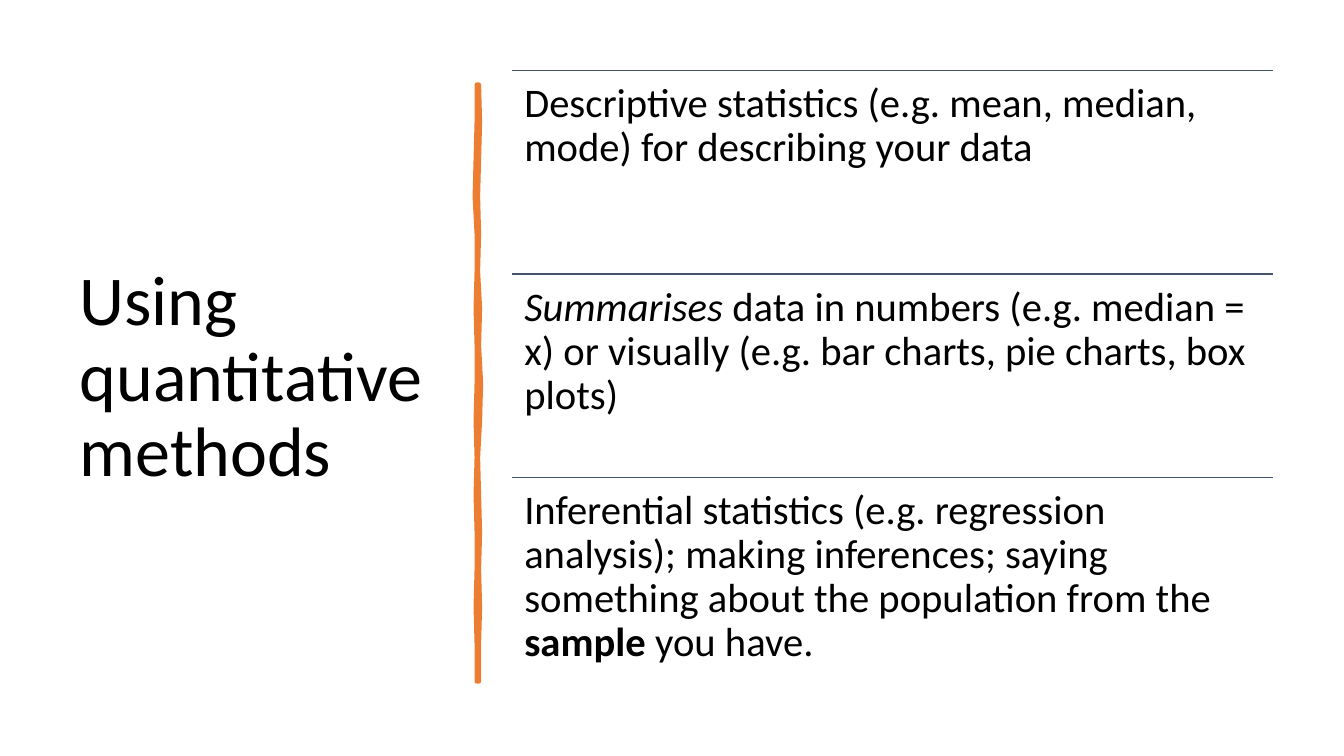
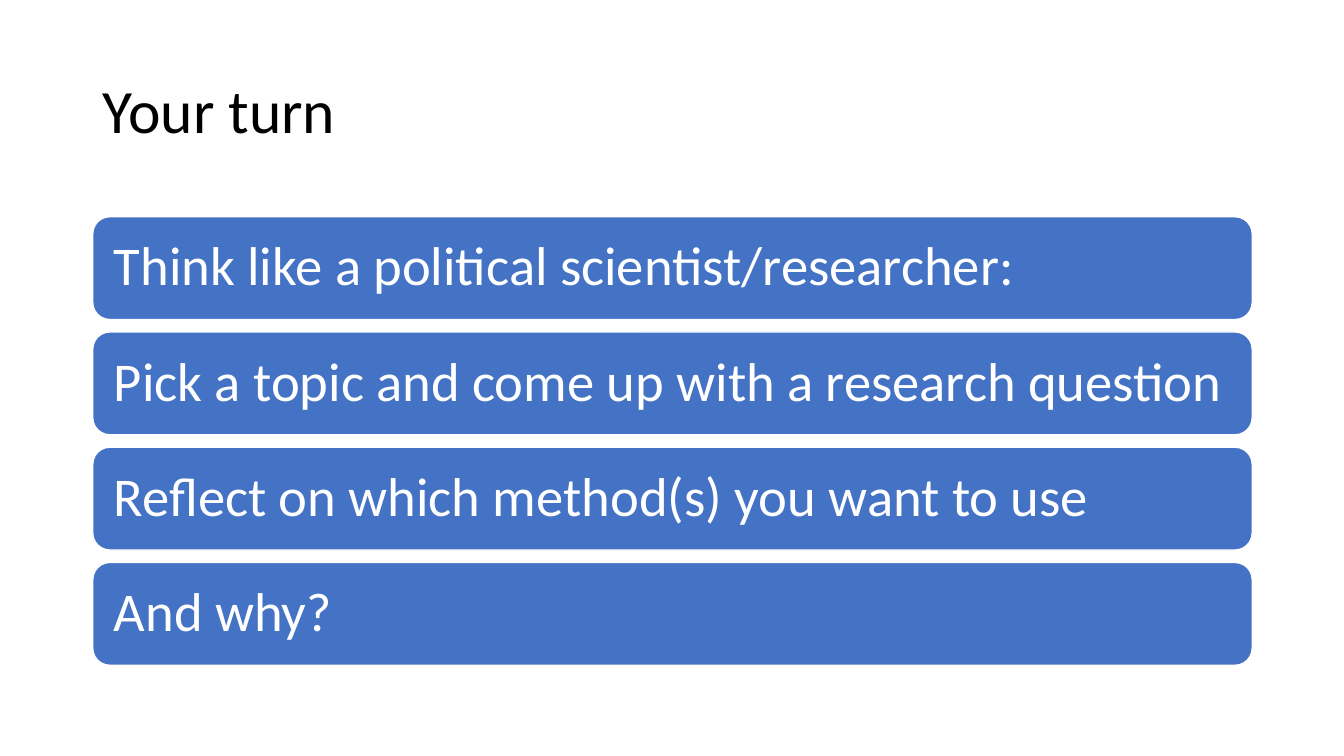
"""Build two slides on quantitative methods and a class task."""
from lxml import etree
from pptx import Presentation
from pptx.dml.color import RGBColor
from pptx.enum import shapes, text
from pptx.oxml import ns
from pptx.util import Pt

PX = 9144
WIDE, HIGH = 1333, 750
FONT = "Calibri"
BLACK, WHITE, BLUE, SLATE, ORANGE = "000000", "FFFFFF", "4472C4", "44546A", "ED7D31"

METHODS = {
    "title": "Using quantitative methods", "size": 50, "box": (69, 70, 374, 611),
    "rows": [
        [("Descriptive statistics (e.g. mean, median, mode) for describing your data", {})],
        [("Summarises", {"italic": True}),
         (" data in numbers (e.g. median = x) or visually "
          "(e.g. bar charts, pie charts, box plots)", {})],
        [("Inferential statistics (e.g. regression analysis); making inferences; "
          "saying something about the population from the ", {}),
         ("sample", {"bold": True}), (" you have.", {})],
    ],
}
TASK = {
    "title": "Your turn", "size": 44, "box": (92, 40, 1150, 145),
    "rows": [
        "Think like a political scientist/researcher:",
        "Pick a topic and come up with a research question",
        "Reflect on which method(s) you want to use",
        "And why?",
    ],
}
RIGHT = [475, 476, 475, 474, 475, 474, 476, 475, 477, 476, 474, 475, 476, 475, 476, 475, 475]
LEFT = [473, 473, 472, 471, 473, 473, 472, 473, 473, 472, 473, 472, 473, 473, 472, 473, 473]
BAR_TOP, BAR_STEP = 84, 37


def rgb(code):
    return RGBColor.from_string(code)


def emu(*nums):
    return [round(n * PX) for n in nums]


def assign(item, **vals):
    for key, val in vals.items():
        setattr(item, key, val)


def write(shape, runs, size, color, inset, anchor):
    frame = shape.text_frame
    assign(frame, word_wrap=True, auto_size=text.MSO_AUTO_SIZE.NONE, vertical_anchor=anchor)
    pad = round(inset * PX)
    assign(frame, **{"margin_" + side: pad for side in ("left", "top", "right", "bottom")})
    para = frame.paragraphs[0]
    assign(para, alignment=text.PP_ALIGN.LEFT, line_spacing=0.9)
    for words, style in runs:
        run = para.add_run()
        run.text = words
        assign(run.font, name=FONT, size=Pt(size), **style)
        run.font.color.rgb = rgb(color)


def paint(shape, fill, line, width):
    shape.shadow.inherit = False
    shape.fill.solid()
    shape.fill.fore_color.rgb = rgb(fill)
    shape.line.color.rgb = rgb(line)
    shape.line.width = Pt(width)


def start(deck, data):
    slide = deck.slides.add_slide(deck.slide_layouts[5])
    title = slide.shapes.title
    assign(title, **dict(zip(("left", "top", "width", "height"), emu(*data["box"]))))
    write(title, [(data["title"], {})], data["size"], BLACK, 10, text.MSO_ANCHOR.MIDDLE)
    return slide


def rule(slide, left, top, width):
    line = slide.shapes.add_connector(
        shapes.MSO_CONNECTOR.STRAIGHT, *emu(left, top, left + width, top))
    line.line.color.rgb = rgb(SLATE)
    line.line.width = Pt(1)
    etree.SubElement(line._element.spPr, ns.qn("a:effectLst"))


def stroke(slide):
    down = [(x, BAR_TOP + i * BAR_STEP) for i, x in enumerate(RIGHT)]
    back = [(x, BAR_TOP + i * BAR_STEP) for i, x in enumerate(LEFT)][::-1]
    pen = slide.shapes.build_freeform(*down[0], scale=PX)
    pen.add_line_segments(down[1:] + back, close=True)
    bar = pen.convert_to_shape()
    paint(bar, ORANGE, ORANGE, 3.25)
    etree.SubElement(bar.line._get_or_add_ln(), ns.qn("a:round"))


def methods(deck):
    slide = start(deck, METHODS)
    stroke(slide)
    left, top, width, step = 508, 70, 755, 202
    for i, runs in enumerate(METHODS["rows"]):
        y = top + i * step
        rule(slide, left, y, width)
        box = slide.shapes.add_textbox(*emu(left, y, width, step))
        write(box, runs, 29, BLACK, 12, text.MSO_ANCHOR.TOP)


def task(deck):
    slide = start(deck, TASK)
    left, top, width, high, end = 92, 215, 1150, 102, 660
    rows = TASK["rows"]
    step = (end - top - high) / (len(rows) - 1)
    for i, words in enumerate(rows):
        card = slide.shapes.add_shape(
            shapes.MSO_SHAPE.ROUNDED_RECTANGLE, *emu(left, top + i * step, width, high))
        paint(card, BLUE, WHITE, 1)
        write(card, [(words, {})], 39, WHITE, 16, text.MSO_ANCHOR.MIDDLE)


def main():
    deck = Presentation()
    deck.slide_width, deck.slide_height = emu(WIDE, HIGH)
    methods(deck)
    task(deck)
    deck.save("out.pptx")


if __name__ == "__main__":
    main()
